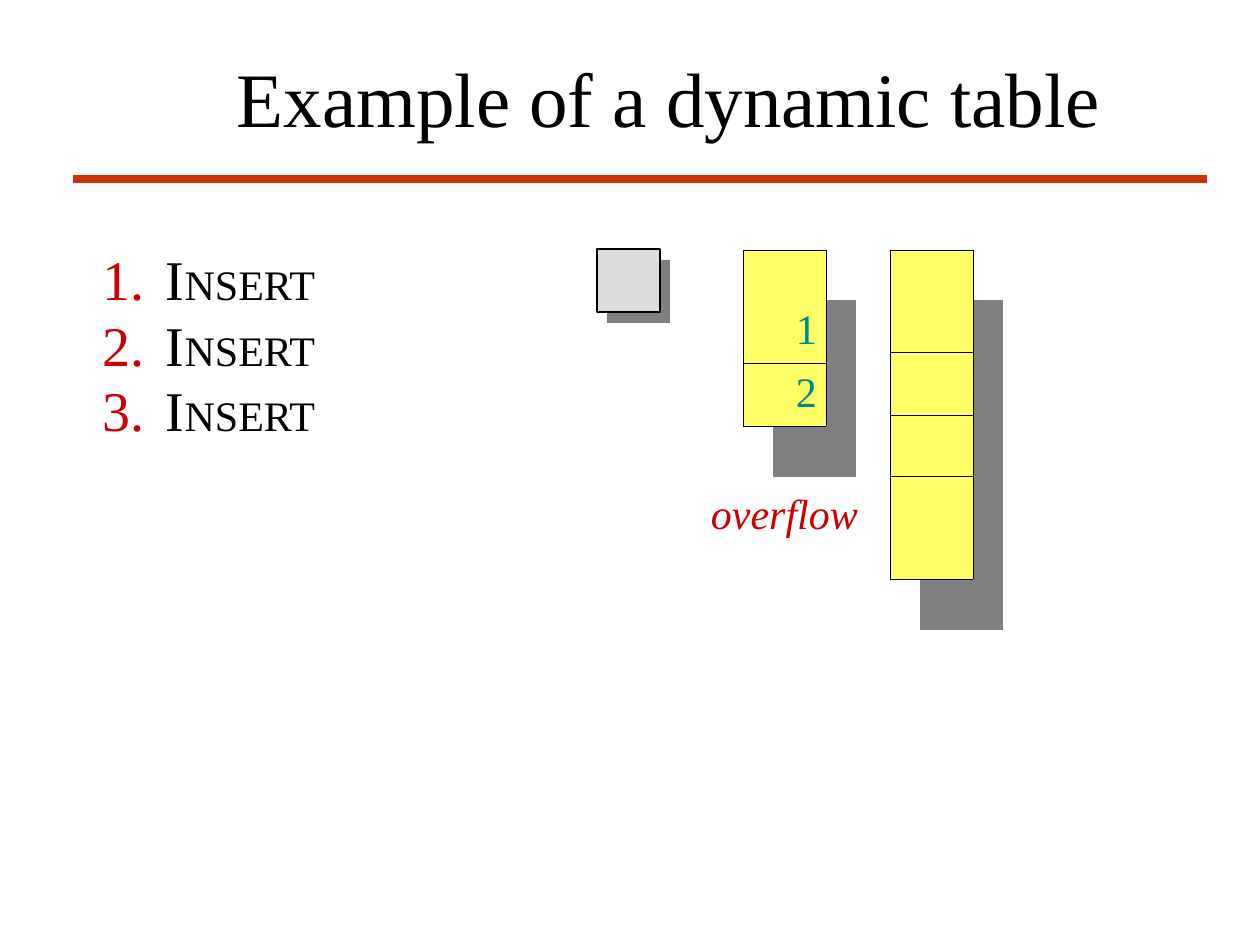
from lxml import etree
from pptx import Presentation
from pptx import util as u
from pptx.dml.color import RGBColor
from pptx.enum import shapes, text
from pptx.oxml.ns import qn

PX = 914400 / 126
FONT = "Times New Roman"
BLACK, RED, TEAL = "000000", "CC0000", "008A87"
YELLOW, SHADOW, GREY = "FFFF66", "808080", "DDDDDD"
COLUMNS = [30, 53, 30]


def px(length):
    return u.Emu(round(length * PX))


def rgb(value):
    return RGBColor.from_string(value)


def style(para, size, color=BLACK, italic=False):
    font = para.font
    font.name, font.size, font.italic = FONT, u.Pt(size), italic
    font.color.rgb = rgb(color)


def set_frame(frame, left=0, top=0):
    """Clear the insets, apart from those given, and wrap the text."""
    frame.word_wrap = True
    frame.vertical_anchor = text.MSO_ANCHOR.TOP
    frame.margin_left, frame.margin_top = px(left), px(top)
    frame.margin_right = frame.margin_bottom = 0


def add_title(page, words):
    title = page.shapes.title
    title.left, title.top, title.width, title.height = map(px, (128, 44, 1000, 92))
    set_frame(title.text_frame, left=82, top=7)
    title.text_frame.text = words
    para = title.text_frame.paragraphs[0]
    para.alignment = text.PP_ALIGN.CENTER
    style(para, 44)


def add_rule(page, left, right, y):
    rule = page.shapes.add_connector(
        shapes.MSO_CONNECTOR.STRAIGHT, px(left), px(y), px(right), px(y))
    rule.line.color.rgb = rgb("CC3300")
    rule.line.width = u.Pt(4.5)
    etree.SubElement(rule.element.spPr, qn("a:effectLst"))


def add_square(page, left, top, size, fill, outline=None):
    square = page.shapes.add_shape(
        shapes.MSO_SHAPE.RECTANGLE, px(left), px(top), px(size), px(size))
    square.shadow.inherit = False
    square.fill.solid()
    square.fill.fore_color.rgb = rgb(fill)
    if outline:
        square.line.color.rgb = rgb(outline)
        square.line.width = u.Pt(0.75)
    else:
        square.line.fill.background()


def add_numbered_list(page, words):
    box = page.shapes.add_textbox(*map(px, (102, 246, 220, 197)))
    frame = box.text_frame
    set_frame(frame)
    for index, word in enumerate(words):
        para = frame.paragraphs[0] if index == 0 else frame.add_paragraph()
        props = para._p.get_or_add_pPr()
        props.set("marL", str(px(64)))
        props.set("indent", str(-px(63)))
        bullet_color = etree.SubElement(props, qn("a:buClr"))
        etree.SubElement(bullet_color, qn("a:srgbClr"), val=RED)
        etree.SubElement(props, qn("a:buAutoNum"), type="arabicPeriod")
        para.line_spacing = u.Pt(37.5)
        style(para, 32)
        para.add_run().text = word[0]
        span = para.add_run()
        span.text = word[1:]
        span.font.size = u.Pt(24)


def add_label(page, words):
    box = page.shapes.add_textbox(*map(px, (711, 481, 150, 50)))
    set_frame(box.text_frame, top=7)
    para = box.text_frame.paragraphs[0]
    para.text = words
    style(para, 24, RED, italic=True)


def set_border(cell, side, shown):
    props = cell._tc.get_or_add_tcPr()
    line = etree.SubElement(props, qn(f"a:ln{side}"), w=str(u.Pt(0.34)))
    if shown:
        fill = etree.SubElement(line, qn("a:solidFill"))
        etree.SubElement(fill, qn("a:srgbClr"), val=BLACK)
    else:
        etree.SubElement(line, qn("a:noFill"))


def add_slots(page, left, top, rows, breaks, values):
    """Add a yellow column ruled above the rows in breaks, with its shadow."""
    last = len(rows) - 1
    table = page.shapes.add_table(
        len(rows), len(COLUMNS), px(left), px(top), px(sum(COLUMNS)), px(sum(rows))).table
    table.first_row = table.horz_banding = False
    for column, width in zip(table.columns, COLUMNS):
        column.width = px(width)
    for row, height in enumerate(rows):
        table.rows[row].height = px(height)
        for col in range(len(COLUMNS)):
            cell = table.cell(row, col)
            cell.margin_left = cell.margin_right = 0
            cell.margin_top = cell.margin_bottom = 0
            body = row < last
            set_border(cell, "L", body and col != 1)
            set_border(cell, "R", body and col == 1)
            set_border(cell, "T", col < 2 and row in breaks)
            set_border(cell, "B", col < 2 and row + 1 in breaks)
            if body and col < 2:
                color = YELLOW
            else:
                color = SHADOW if row and col else None
            if color:
                cell.fill.solid()
                cell.fill.fore_color.rgb = rgb(color)
            else:
                cell.fill.background()
    for row, value in values.items():
        cell = table.cell(row, 1)
        cell.margin_left, cell.margin_top = px(23), px(7)
        cell.text = value
        style(cell.text_frame.paragraphs[0], 24, TEAL)


def main():
    deck = Presentation()
    deck.slide_width, deck.slide_height = u.Inches(10), u.Inches(7.5)
    page = deck.slides.add_slide(deck.slide_layouts[5])
    add_rule(page, 73, 1207, 179)
    add_title(page, "Example of a dynamic table")
    add_square(page, 607, 260, 63, SHADOW)
    add_square(page, 597, 249, 63, GREY, BLACK)
    add_numbered_list(page, ["INSERT"] * 3)
    add_label(page, "overflow")
    add_slots(page, 743, 250, [50, 63, 63, 51], {0, 2, 3}, {1: "1", 2: "2"})
    add_slots(page, 890, 250, [50, 52, 63, 61, 51, 52, 51], {0, 2, 3, 4, 6}, {})
    deck.save("out.pptx")


if __name__ == "__main__":
    main()
